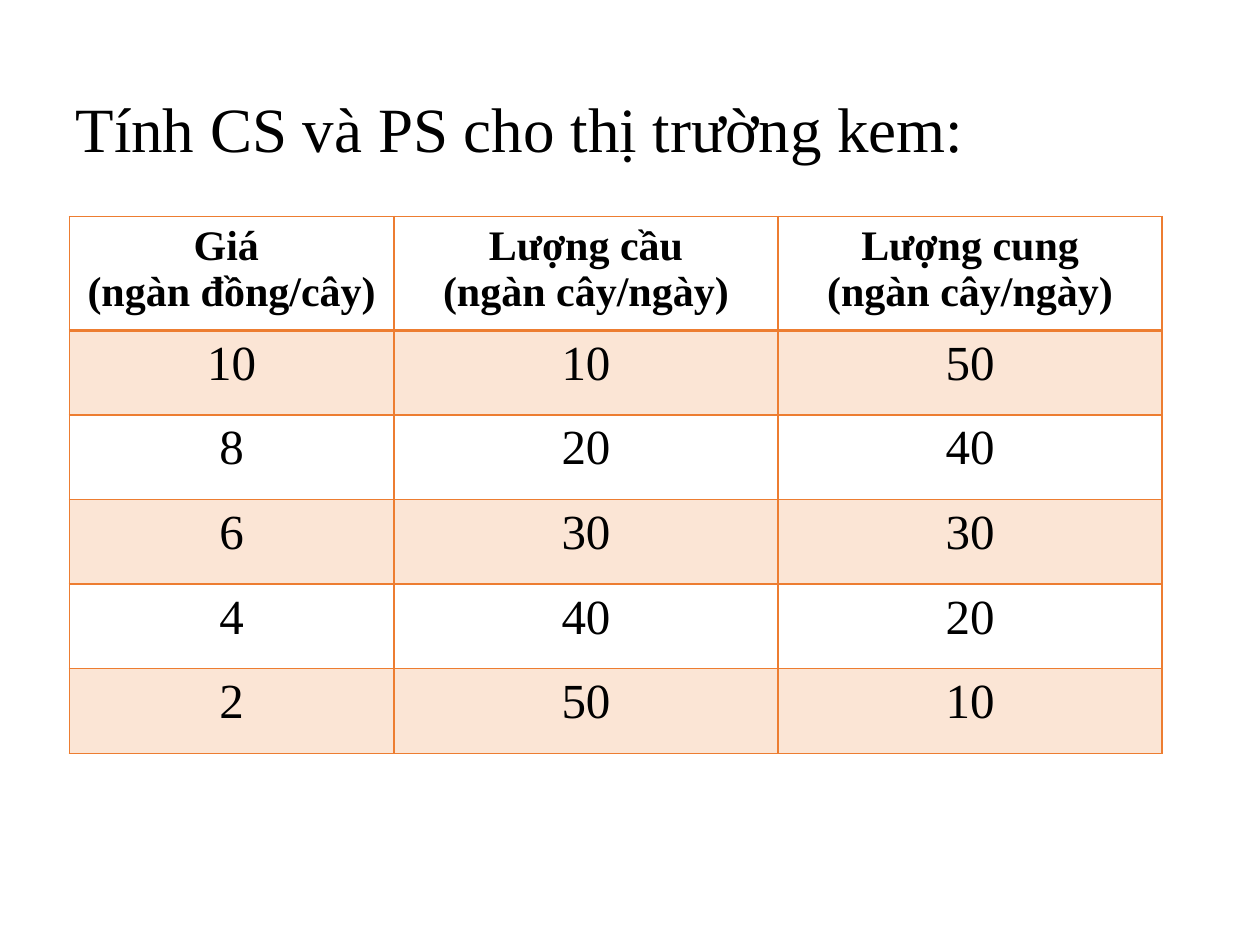
import pptx
import pptx.util
import pptx.dml.color
import pptx.enum.text
import pptx.oxml.ns
from lxml import etree

Pt = pptx.util.Pt
Align = pptx.enum.text.PP_ALIGN
Anchor = pptx.enum.text.MSO_ANCHOR

TITLE = "Tính CS và PS cho thị trường kem:"
HEADS = [
    ["Giá ", "(ngàn đồng/cây)"],
    ["Lượng cầu", "(ngàn cây/ngày)"],
    ["Lượng cung", "(ngàn cây/ngày)"],
]
DATA = [(10, 10, 50), (8, 20, 40), (6, 30, 30), (4, 40, 20), (2, 50, 10)]

THEME = {
    "font": "Times New Roman", "ink": "000000", "accent": "ED7D31",
    "title": 36, "head": 24, "body": 28, "tint": 20,
}
LEFT, TOP = 39.6, 123.84
WIDTHS = [185.5, 219.5, 219.5]
HEAD_H, ROW_H = 64.8, 48.38


def write(frame, lines, size, bold=False, align=Align.LEFT, space=None):
    for i, line in enumerate(lines):
        para = frame.paragraphs[0] if i == 0 else frame.add_paragraph()
        para.alignment = align
        para.line_spacing = space
        run = para.add_run()
        run.text = line
        font = run.font
        font.name, font.size, font.bold = THEME["font"], Pt(size), bold
        font.color.rgb = pptx.dml.color.RGBColor.from_string(THEME["ink"])


def child(node, tag, **attrs):
    return etree.SubElement(node, pptx.oxml.ns.qn(tag), attrs)


def paint(node):
    """Add the accent fill to an XML node and return its colour."""
    return child(child(node, "a:solidFill"), "a:srgbClr", val=THEME["accent"])


def style(cell, top, bottom, tinted):
    """Draw the four borders, then the fill, in schema order."""
    props = cell._tc.get_or_add_tcPr()
    for side, width in (("L", 1), ("R", 1), ("T", top), ("B", bottom)):
        paint(child(props, "a:ln" + side, w=str(Pt(width))))
    if tinted:
        child(paint(props), "a:alpha", val=str(THEME["tint"] * 1000))
    else:
        child(props, "a:noFill")


def main():
    deck = pptx.Presentation()
    deck.slide_width, deck.slide_height = Pt(720), Pt(540)
    slide = deck.slides.add_slide(deck.slide_layouts[5])

    title = slide.shapes.title
    title.left, title.top = Pt(36), Pt(55.44)
    title.width, title.height = Pt(648), Pt(40.32)
    title.text_frame.vertical_anchor = Anchor.MIDDLE
    write(title.text_frame, [TITLE], THEME["title"], space=0.9)

    rows = [HEADS] + [[[str(n)] for n in row] for row in DATA]
    heights = [HEAD_H] + [ROW_H] * len(DATA)
    table = slide.shapes.add_table(
        len(rows), len(WIDTHS), Pt(LEFT), Pt(TOP),
        Pt(sum(WIDTHS)), Pt(sum(heights))).table
    for col, width in zip(table.columns, WIDTHS):
        col.width = Pt(width)
    for r, (row, height) in enumerate(zip(rows, heights)):
        table.rows[r].height = Pt(height)
        head = r == 0
        for c, lines in enumerate(row):
            cell = table.cell(r, c)
            write(cell.text_frame, lines, THEME["head" if head else "body"],
                  bold=head, align=Align.CENTER)
            style(cell, top=2 if r == 1 else 1, bottom=2 if head else 1,
                  tinted=r % 2 == 1)

    deck.save("out.pptx")


if __name__ == "__main__":
    main()
